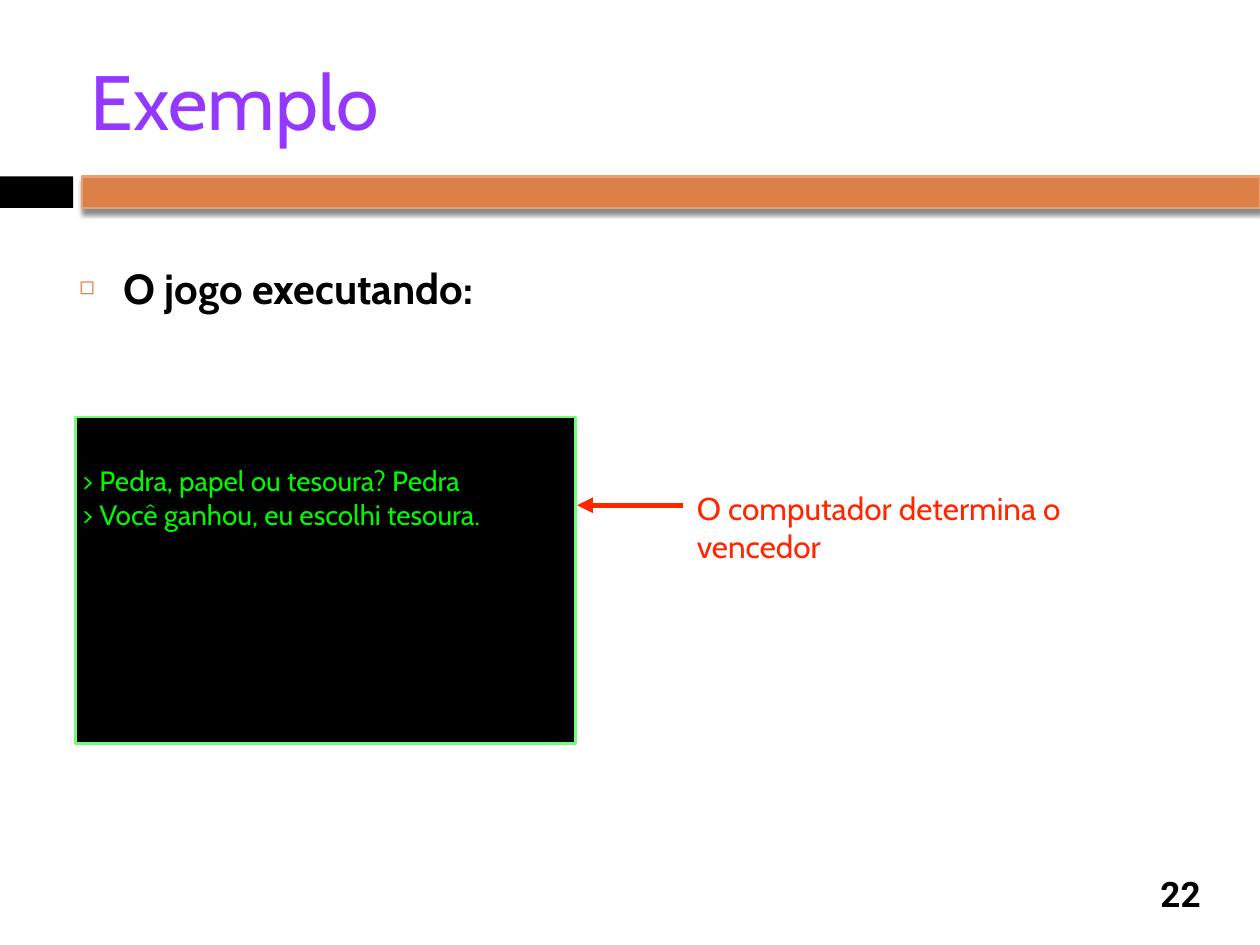
from lxml.etree import SubElement
from pptx import Presentation
from pptx.dml.color import RGBColor
from pptx.enum.shapes import MSO_CONNECTOR, MSO_SHAPE
from pptx.enum.text import MSO_ANCHOR, MSO_AUTO_SIZE, PP_ALIGN
from pptx.oxml.ns import qn
from pptx.util import Inches, Pt

# Content
TITLE = ["Exemplo"]
BODY = ["O jogo executando:"]
TERMINAL = ["> Pedra, papel ou tesoura? Pedra", "> Você ganhou, eu escolhi tesoura."]
CALLOUT = ["O computador determina o vencedor"]
PAGE_NUMBER = ["22"]

COLORS = {
    "black": "000000", "purple": "9437FF", "orange": "DD8047", "light_orange": "E5A075",
    "green": "00F900", "light_green": "73FA79", "red": "FF2600",
}
INSET = 0.05


def color(name):
    return RGBColor.from_string(COLORS[name])


def add_xml(parent, tag, **attributes):
    return SubElement(parent, qn(tag), {key: str(value) for key, value in attributes.items()})


def place(shape, left, top, width, height):
    values = {"left": left, "top": top, "width": width, "height": height}
    for name, value in values.items():
        setattr(shape, name, Inches(value))


def add_bar(page, area, fill, line=None):
    bar = page.shapes.add_shape(MSO_SHAPE.RECTANGLE, *map(Inches, area))
    bar.shadow.inherit = False
    bar.fill.solid()
    bar.fill.fore_color.rgb = color(fill)
    if line:
        bar.line.color.rgb = color(line)
        bar.line.width = Pt(1.5)
    else:
        bar.line.fill.background()
    return bar


def write(shape, lines, size, ink, font="Cabin", bold=False, anchor=MSO_ANCHOR.TOP,
          align=PP_ALIGN.LEFT, top_inset=INSET, bullet=None):
    frame = shape.text_frame
    settings = {
        "word_wrap": True, "auto_size": MSO_AUTO_SIZE.NONE, "vertical_anchor": anchor,
        "margin_left": Inches(INSET), "margin_right": Inches(INSET),
        "margin_top": Inches(top_inset), "margin_bottom": Inches(INSET),
    }
    for name, value in settings.items():
        setattr(frame, name, value)
    for index, line in enumerate(lines):
        paragraph = frame.paragraphs[0] if index == 0 else frame.add_paragraph()
        paragraph.alignment = align
        paragraph.space_before = Pt(0)
        if bullet:
            add_bullet(paragraph, **bullet)
        span = paragraph.add_run()
        span.text = line
        styles = {"name": font, "size": Pt(size), "bold": bold}
        for name, value in styles.items():
            setattr(span.font, name, value)
        span.font.color.rgb = color(ink)


def add_bullet(paragraph, char, ink, percent, indent):
    properties = paragraph._p.get_or_add_pPr()
    properties.set("marL", str(Inches(indent)))
    properties.set("indent", str(-Inches(indent)))
    add_xml(add_xml(properties, "a:buClr"), "a:srgbClr", val=COLORS[ink])
    add_xml(properties, "a:buSzPct", val=percent * 1000)
    add_xml(properties, "a:buChar", char=char)


deck = Presentation()
deck.slide_width, deck.slide_height = Inches(10), Inches(7.5)
page = deck.slides.add_slide(deck.slide_layouts[1])
title, body = page.placeholders

# Divider: black tab and orange bar with a soft shadow
add_bar(page, (0, 1.4, 0.58, 0.25), "black")
divider = add_bar(page, (0.65, 1.4, 9.35, 0.25), "orange", "light_orange")
effects = divider._element.spPr.find(qn("a:effectLst"))
shadow = add_xml(effects, "a:outerShdw", blurRad=Pt(3), dist=Pt(2.4), dir=90 * 60000,
                 rotWithShape=0)
add_xml(add_xml(shadow, "a:srgbClr", val=COLORS["black"]), "a:alpha", val=45000)

# Title and list
place(title, 0.67, 0.25, 8.92, 1.08)
write(title, TITLE, 44, "purple", anchor=MSO_ANCHOR.MIDDLE)
place(body, 0.58, 2.03, 5.73, 0.5)
write(body, BODY, 24, "black", bold=True,
      bullet={"char": "◻", "ink": "orange", "percent": 60, "indent": 0.35})

# Terminal window
terminal = add_bar(page, (0.6, 3.31, 3.97, 2.59), "black", "light_green")
write(terminal, TERMINAL, 16, "green", top_inset=0.37)

# Callout and its arrow
callout = page.shapes.add_textbox(*map(Inches, (5.48, 3.83, 3.81, 0.36)))
write(callout, CALLOUT, 18, "red")
arrow = page.shapes.add_connector(MSO_CONNECTOR.STRAIGHT, *map(Inches, (5.42, 4.01, 4.58, 4.01)))
arrow.line.color.rgb = color("red")
arrow.line.width = Pt(3)
add_xml(arrow.line._get_or_add_ln(), "a:tailEnd", type="triangle")
add_xml(arrow._element.spPr, "a:effectLst")

# Page number
number = page.shapes.add_textbox(*map(Inches, (9.08, 6.89, 0.58, 0.41)))
write(number, PAGE_NUMBER, 20, "black", font="Roboto", bold=True,
      anchor=MSO_ANCHOR.MIDDLE, align=PP_ALIGN.CENTER)

deck.save("out.pptx")
